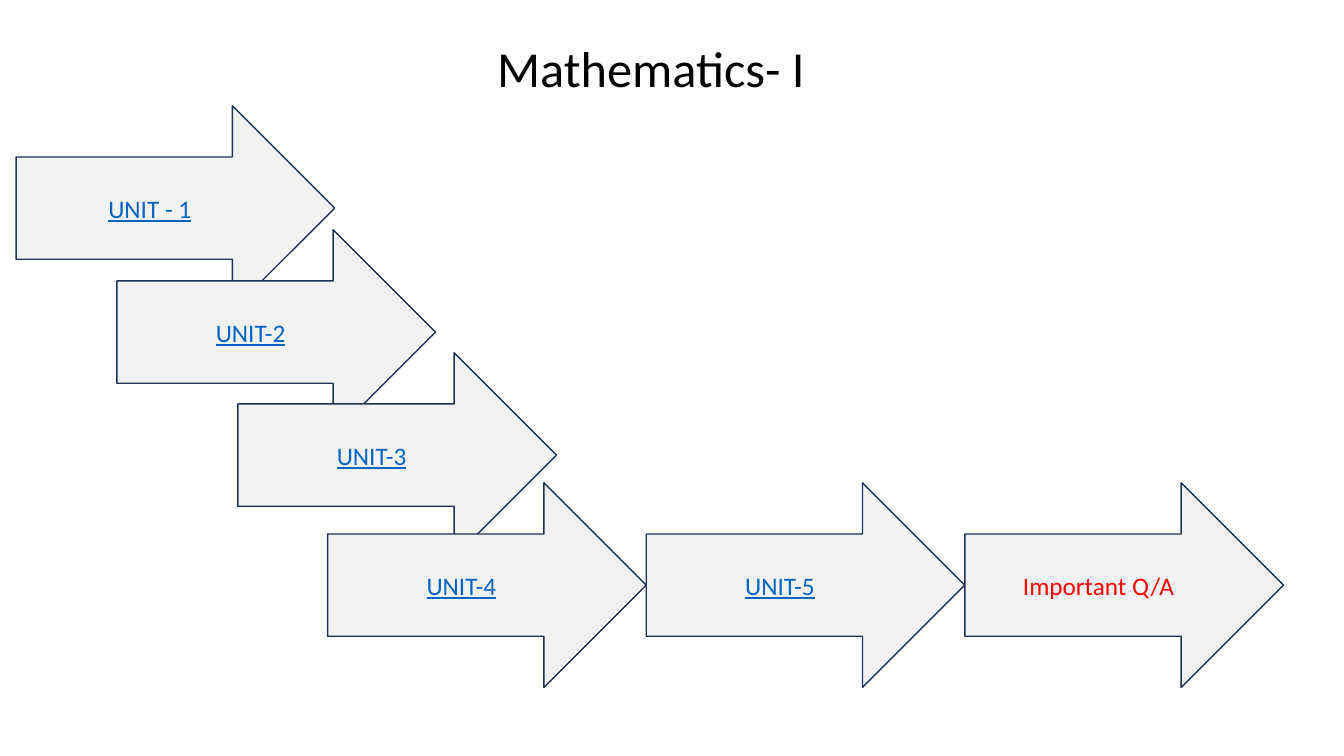
import pptx
import pptx.util
import pptx.dml.color
import pptx.enum.shapes
import pptx.enum.text
from dataclasses import dataclass

Inches = pptx.util.Inches
Align = pptx.enum.text.PP_ALIGN
Anchor = pptx.enum.text.MSO_ANCHOR


@dataclass(frozen=True)
class Theme:
    font: str = "Calibri"
    title_size: int = 36
    label_size: int = 18
    title: str = "000000"
    arrow_fill: str = "F2F2F2"
    arrow_line: str = "1E3256"
    unit: str = "0563C1"
    important: str = "FF0000"


THEME = Theme()
ARROW_WIDTH, ARROW_HEIGHT = 3.16, 2.03
ROW_LEFT, ROW_TOP = 3.25, 4.79

# Units stepping down to the row, then the labels along the row
STAIRS = [("UNIT - 1", 0.16, 1.05), ("UNIT-2", 1.16, 2.28), ("UNIT-3", 2.36, 3.5)]
ROW = ["UNIT-4", "UNIT-5", "Important Q/A"]


def rgb(code):
    return pptx.dml.color.RGBColor.from_string(code)


def apply_format(target, values):
    for name, value in values.items():
        setattr(target, name, value)


def write_text(frame, text, color, size, align, anchor, underline=False):
    apply_format(frame, {"word_wrap": True, "vertical_anchor": anchor,
                         "auto_size": pptx.enum.text.MSO_AUTO_SIZE.NONE})
    para = frame.paragraphs[0]
    para.alignment = align
    span = para.add_run()
    span.text = text
    apply_format(span.font, {"name": THEME.font, "size": pptx.util.Pt(size),
                             "underline": underline})
    span.font.color.rgb = rgb(color)


def add_title(page, text, left, top, width, height):
    title = page.shapes.title
    apply_format(title, {"left": Inches(left), "top": Inches(top),
                         "width": Inches(width), "height": Inches(height)})
    write_text(title.text_frame, text, THEME.title, THEME.title_size,
               Align.LEFT, Anchor.TOP)


def add_arrow(page, text, left, top, color=THEME.unit, underline=True):
    arrow = page.shapes.add_shape(
        pptx.enum.shapes.MSO_SHAPE.RIGHT_ARROW, Inches(left), Inches(top),
        Inches(ARROW_WIDTH), Inches(ARROW_HEIGHT))
    arrow.shadow.inherit = False
    arrow.fill.solid()
    arrow.fill.fore_color.rgb = rgb(THEME.arrow_fill)
    arrow.line.color.rgb = rgb(THEME.arrow_line)
    arrow.line.width = pptx.util.Pt(1)
    write_text(arrow.text_frame, text, color, THEME.label_size,
               Align.CENTER, Anchor.MIDDLE, underline)


def add_stairs(page):
    for text, left, top in STAIRS:
        add_arrow(page, text, left, top)


def add_row(page, left, top):
    *units, important = ROW
    for index, text in enumerate(units):
        add_arrow(page, text, left + index * ARROW_WIDTH, top)
    add_arrow(page, important, left + len(units) * ARROW_WIDTH, top,
              THEME.important, underline=False)


def main():
    deck = pptx.Presentation()
    deck.slide_width, deck.slide_height = Inches(13.33), Inches(7.5)
    page = deck.slides.add_slide(deck.slide_layouts.get_by_name("Title Only"))
    add_title(page, "Mathematics- I", 4.83, 0.32, 3.54, 0.71)
    add_stairs(page)
    add_row(page, ROW_LEFT, ROW_TOP)
    deck.save("out.pptx")


if __name__ == "__main__":
    main()
